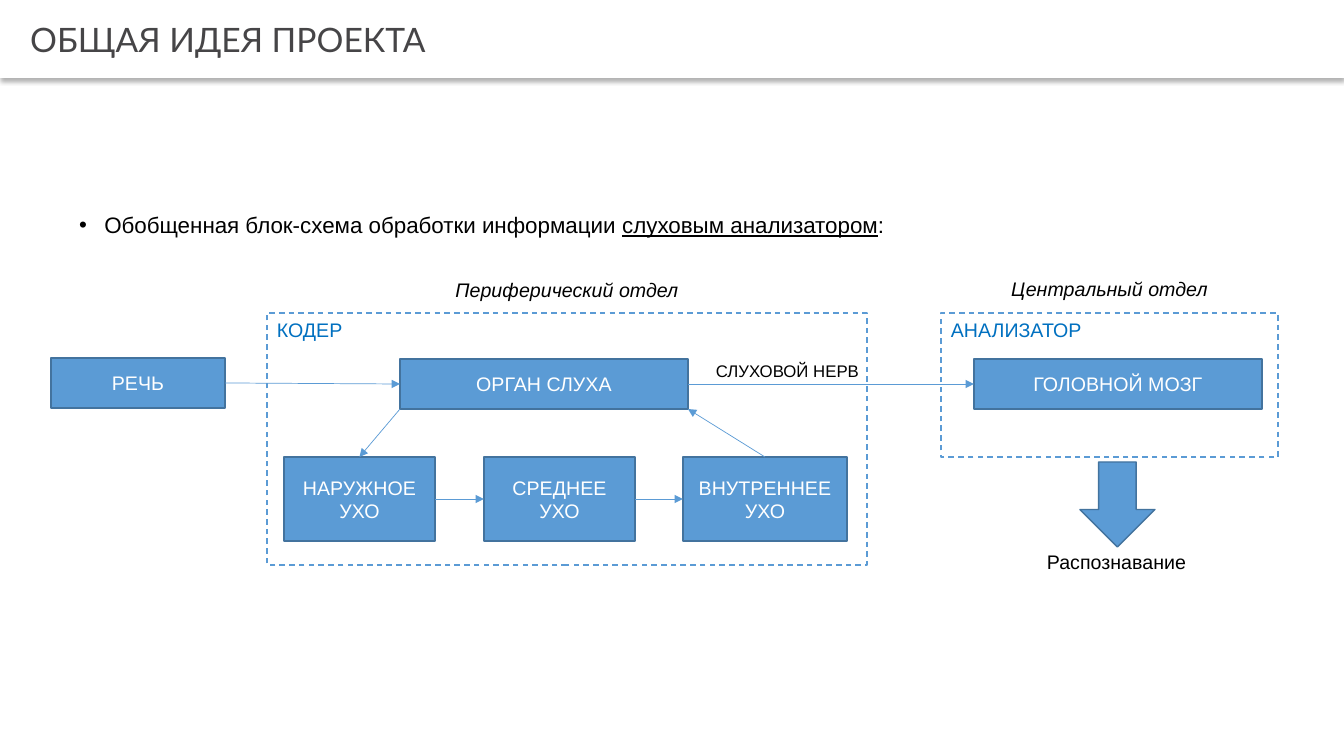
from lxml import etree
from pptx import Presentation
from pptx import util as u
from pptx.dml.color import RGBColor
from pptx.enum import dml, shapes, text
from pptx.oxml.ns import qn

COLOURS = {
    "white": "FFFFFF",
    "black": "000000",
    "title": "464547",
    "block": "5B9BD5",
    "border": "43739E",
    "caption": "0070C0",
}
BLOCK_TEXT = {"size": u.Pt(14), "name": "Arial"}
LEFT, CENTRE = text.PP_ALIGN.LEFT, text.PP_ALIGN.CENTER


class SlideBuilder:
    """Draws styled elements on one slide, with lengths in pixels."""

    scale = u.Inches(1) / 100.8

    def __init__(self, presentation, layout):
        self.slide = presentation.slides.add_slide(layout)

    @classmethod
    def px(cls, *lengths):
        return [u.Emu(round(length * cls.scale)) for length in lengths]

    def apply(self, target, values):
        for name, value in values.items():
            setattr(target, name, value)

    def paint(self, format_part, colour):
        format_part.solid()
        format_part.fore_color.rgb = RGBColor.from_string(COLOURS[colour])

    def style_font(self, font, colour, values):
        self.apply(font, values)
        self.paint(font.fill, colour)

    def place(self, shape, box):
        self.apply(shape, dict(zip(("left", "top", "width", "height"), self.px(*box))))

    def set_text(self, frame, words, colour, align=LEFT, **values):
        frame.text = words
        for paragraph in frame.paragraphs:
            paragraph.alignment = align
            self.style_font(paragraph.runs[0].font, colour, {**BLOCK_TEXT, **values})

    def header(self, words, box):
        shape = self.slide.shapes.title
        self.place(shape, box)
        self.paint(shape.fill, "white")
        effects = etree.SubElement(shape.element.spPr, qn("a:effectLst"))
        shadow = etree.SubElement(effects, qn("a:outerShdw"), blurRad=str(u.Pt(3.1)),
                                  dist=str(u.Pt(2)), dir="5400000", algn="t", rotWithShape="0")
        tint = etree.SubElement(shadow, qn("a:srgbClr"), val=COLOURS["black"])
        etree.SubElement(tint, qn("a:alpha"), val="30000")
        self.apply(shape.text_frame, {
            "margin_left": u.Inches(0.3), "margin_right": u.Inches(0.07),
            "margin_top": u.Inches(0.04), "margin_bottom": u.Inches(0.04),
            "vertical_anchor": text.MSO_ANCHOR.MIDDLE, "auto_size": text.MSO_AUTO_SIZE.NONE,
        })
        self.set_text(shape.text_frame, words, "title", size=u.Pt(24), name="Lato")

    def bullet(self, pieces, box, top_margin):
        shape = self.slide.placeholders[1]
        self.place(shape, box)
        frame = shape.text_frame
        self.apply(frame, {"margin_top": self.px(top_margin)[0],
                           "auto_size": text.MSO_AUTO_SIZE.NONE})
        paragraph = frame.paragraphs[0]
        self.apply(paragraph, {"line_spacing": 0.9, "space_before": u.Pt(0)})
        properties = paragraph._p.get_or_add_pPr()
        properties.set("marL", str(u.Inches(0.25)))
        properties.set("indent", str(-u.Inches(0.25)))
        etree.SubElement(properties, qn("a:buFont"), typeface="Arial")
        etree.SubElement(properties, qn("a:buChar"), char="•")
        for words, underline in pieces:
            run = paragraph.add_run()
            run.text = words
            self.style_font(run.font, "black",
                            {"size": u.Pt(16), "name": "Arial", "underline": underline})

    def block(self, words, box, kind=shapes.MSO_SHAPE.RECTANGLE):
        shape = self.slide.shapes.add_shape(kind, *self.px(*box))
        shape.shadow.inherit = False
        self.paint(shape.fill, "block")
        self.paint(shape.line.fill, "border")
        shape.line.width = u.Pt(1)
        if words:
            self.set_text(shape.text_frame, words, "white", CENTRE)
        return shape

    def frame(self, box):
        shape = self.slide.shapes.add_shape(shapes.MSO_SHAPE.RECTANGLE, *self.px(*box))
        shape.shadow.inherit = False
        shape.fill.background()
        self.paint(shape.line.fill, "block")
        self.apply(shape.line, {"width": u.Pt(1), "dash_style": dml.MSO_LINE.DASH})

    def label(self, words, box, colour="black", wrap=False, align=LEFT, **values):
        frame = self.slide.shapes.add_textbox(*self.px(*box)).text_frame
        self.apply(frame, {"word_wrap": wrap,
                           "auto_size": text.MSO_AUTO_SIZE.SHAPE_TO_FIT_TEXT})
        self.set_text(frame, words, colour, align, **values)

    def arrow(self, start, end):
        points = [point if isinstance(point[0], int) else (0, 0) for point in (start, end)]
        connector = self.slide.shapes.add_connector(
            shapes.MSO_CONNECTOR.STRAIGHT, *self.px(*points[0], *points[1]))
        for point, join in ((start, connector.begin_connect), (end, connector.end_connect)):
            if not isinstance(point[0], int):
                join(*point)
        self.paint(connector.line.fill, "block")
        connector.line.width = u.Pt(0.5)
        properties = connector.element.spPr
        etree.SubElement(properties.find(qn("a:ln")), qn("a:tailEnd"), type="triangle")
        etree.SubElement(properties, qn("a:effectLst"))


def main():
    presentation = Presentation()
    presentation.slide_width, presentation.slide_height = SlideBuilder.px(1344, 756)
    builder = SlideBuilder(presentation, presentation.slide_layouts[1])

    builder.header("ОБЩАЯ ИДЕЯ ПРОЕКТА", (0, 0, 1344, 78))
    builder.bullet([("Обобщенная блок-схема обработки информации ", False),
                    ("слуховым анализатором", True), (":", False)],
                   (69, 94, 1210, 580), 120)

    sections = [
        (267, 600, 252, "КОДЕР", 87, "Периферический отдел", 273),
        (941, 337, 144, "АНАЛИЗАТОР", 152, "Центральный отдел", 272),
    ]
    for left, width, height, caption, caption_width, heading, heading_top in sections:
        builder.frame((left, 313, width, height))
        builder.label(caption, (left, 313, caption_width, 34), "caption")
        builder.label(heading, (left, heading_top, width, 34), wrap=True,
                      align=CENTRE, italic=True)

    speech = builder.block("РЕЧЬ", (51, 358, 174, 50))
    organ = builder.block("ОРГАН СЛУХА", (400, 359, 288, 50))
    brain = builder.block("ГОЛОВНОЙ МОЗГ", (974, 359, 288, 50))
    ears = [builder.block(f"{part}\nУХО", (left, 457, width, 84))
            for part, left, width in (("НАРУЖНОЕ", 284, 151), ("СРЕДНЕЕ", 484, 151),
                                      ("ВНУТРЕННЕЕ", 683, 164))]

    row = [speech, organ, brain]
    for chain in (row, ears):
        for source, target in zip(chain, chain[1:]):
            builder.arrow((source, 3), (target, 1))
    builder.arrow((400, 409), (ears[0], 0))
    builder.arrow((ears[2], 0), (688, 409))

    builder.label("СЛУХОВОЙ НЕРВ", (706, 356, 203, 30), wrap=True, size=u.Pt(12))
    builder.block("", (1080, 462, 75, 85), shapes.MSO_SHAPE.DOWN_ARROW)
    builder.label("Распознавание", (1037, 545, 160, 34))
    presentation.save("out.pptx")


if __name__ == "__main__":
    main()
